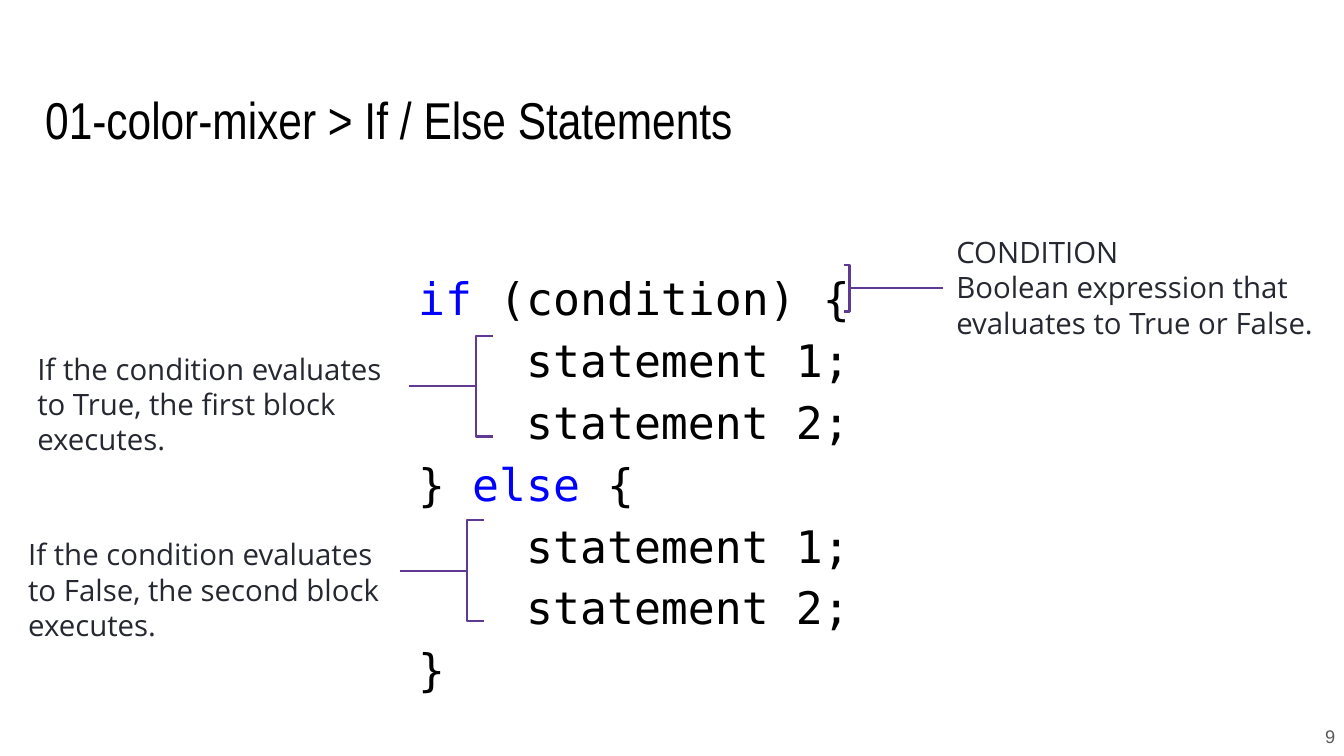
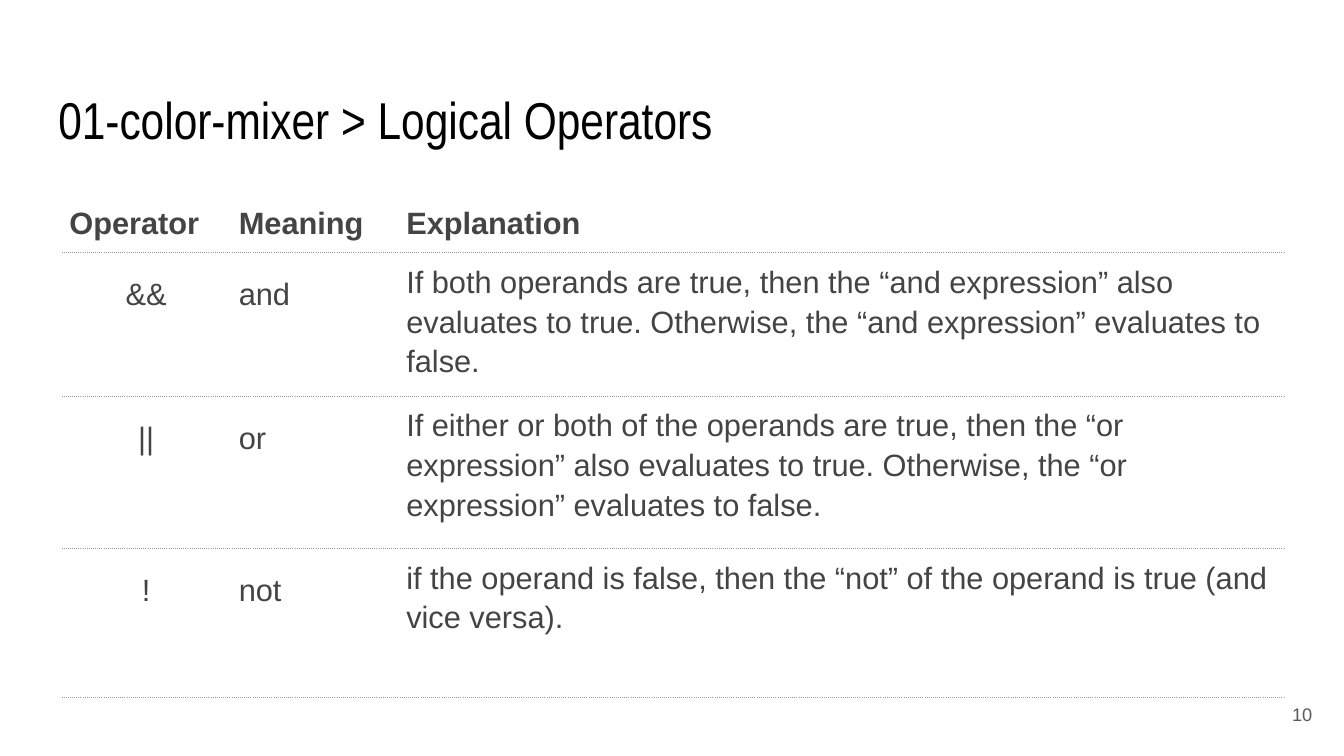
"""Build two lesson slides on if / else statements and logical operators."""
from lxml.etree import SubElement
from pptx import Presentation
from pptx.dml.color import RGBColor
from pptx.enum.shapes import MSO_CONNECTOR, MSO_SHAPE
from pptx.enum.text import MSO_ANCHOR, PP_ALIGN
from pptx.oxml.ns import qn
from pptx.util import Cm, Pt

BLACK = "000000"
KEYWORD_BLUE = "0000FF"
NOTE_GREY = "252830"
BRACKET_PURPLE = "5F3992"
TABLE_GREY = "444444"
RULE_GREY = "999999"
NUMBER_GREY = "595959"


def style(para, size, name, colour, spacing=1.0, align=PP_ALIGN.LEFT, bold=False):
    """Set the font and the layout of one paragraph."""
    para.alignment = align
    para.line_spacing = spacing
    para.font.size = Pt(size)
    para.font.name = name
    para.font.bold = bold
    para.font.color.rgb = RGBColor.from_string(colour)


def add_text(page, place, lines, anchor, inset, *look):
    """Add a text box with one paragraph per line and return its frame."""
    frame = page.shapes.add_textbox(*map(Cm, place)).text_frame
    frame.word_wrap = True
    frame.vertical_anchor = anchor
    frame.margin_left = frame.margin_right = Cm(inset)
    frame.margin_top = frame.margin_bottom = Cm(inset)
    frame.text = "\n".join(lines)
    for para in frame.paragraphs:
        style(para, *look)
    return frame


deck = Presentation()
deck.slide_width = Cm(33.87)
deck.slide_height = Cm(19.05)

pages = []
for title, title_left, number, number_left, number_top in [
    ("01-color-mixer > If / Else Statements", 0.81, "9", 31.85, 18.05),
    ("01-color-mixer > Logical Operators", 1.14, "10", 31.27, 17.5),
]:
    page = deck.slides.add_slide(deck.slide_layouts[6])
    add_text(page, (title_left, 1.65, 31.5, 2.1), [title], MSO_ANCHOR.TOP, 0.33,
             37, "Arial Narrow", BLACK, 1.15)
    add_text(page, (number_left, number_top, 2, 1), [number], MSO_ANCHOR.MIDDLE, 0.2,
             13, "Arial", NUMBER_GREY, 1.0, PP_ALIGN.RIGHT)
    pages.append(page)
statement_page, operator_page = pages

block = ["statement 1;", "statement 2;"]
code_lines = ["if (condition) {", *block, "} else {", *block, "}"]
code = add_text(statement_page, (10.21, 6.35, 12.01, 11.46), code_lines, MSO_ANCHOR.MIDDLE,
                0.33, 32, "DejaVu Sans Mono", BLACK, 1.15)
for para in code.paragraphs:
    if para.text in block:
        para._p.get_or_add_pPr().set("marL", str(Cm(2.72)))
    for keyword in ("if", "else"):
        if keyword in para.text:
            parts = para.text.partition(keyword)
            para.clear()
            for part in filter(None, parts):
                span = para.add_run()
                span.text = part
                colour = KEYWORD_BLUE if part == keyword else BLACK
                span.font.color.rgb = RGBColor.from_string(colour)

notes = [
    (["CONDITION", "Boolean expression that evaluates to True or False."],
     (23.77, 5.56, 9.96, 3.35), MSO_SHAPE.RIGHT_BRACKET, (21.26, 6.68, 0.15, 1.17),
     (21.41, 23.77, 7.25)),
    (["If the condition evaluates to True, the first block executes."],
     (0.61, 8.5, 9.7, 3.35), MSO_SHAPE.LEFT_BRACKET, (11.99, 8.46, 0.43, 2.54),
     (11.99, 10.31, 9.72)),
    (["If the condition evaluates to False, the second block executes."],
     (0.38, 13.18, 9.7, 3.35), MSO_SHAPE.LEFT_BRACKET, (11.76, 13.11, 0.43, 2.54),
     (11.76, 10.08, 14.38)),
]
for lines, place, bracket_kind, bracket_place, (start, end, height) in notes:
    add_text(statement_page, place, lines, MSO_ANCHOR.MIDDLE, 0.33, 21, "Open Sans", NOTE_GREY)
    bracket = statement_page.shapes.add_shape(bracket_kind, *map(Cm, bracket_place))
    bracket.adjustments[0] = 0
    bracket.shadow.inherit = False
    bracket.fill.background()
    pointer = statement_page.shapes.add_connector(
        MSO_CONNECTOR.STRAIGHT, Cm(start), Cm(height), Cm(end), Cm(height))
    SubElement(pointer._element.spPr, qn("a:effectLst"))
    for stroke in (bracket.line, pointer.line):
        stroke.color.rgb = RGBColor.from_string(BRACKET_PURPLE)
        stroke.width = Pt(1.5)

operator_rows = [
    ("Operator", "Meaning", "Explanation"),
    ("&&", "and", "If both operands are true, then the “and expression” also evaluates to true. "
                  "Otherwise, the “and expression” evaluates to false."),
    ("||", "or", "If either or both of the operands are true, then the “or expression” also "
                 "evaluates to true. Otherwise, the “or expression” evaluates to false."),
    ("!", "not", "if the operand is false, then the “not” of the operand is true "
                 "(and vice versa)."),
]
column_widths = [4.27, 4.22, 22.33]
row_heights = [1.68, 3.45, 3.84, 3.76]
table = operator_page.shapes.add_table(
    len(operator_rows), len(column_widths), Cm(1.55), Cm(4.57),
    Cm(sum(column_widths)), Cm(sum(row_heights))).table
table.first_row = False
table.horz_banding = False
for column, width in zip(table.columns, column_widths):
    column.width = Cm(width)
for row, height in zip(table.rows, row_heights):
    row.height = Cm(height)

for row_index, texts in enumerate(operator_rows):
    is_header = row_index == 0
    for column_index, text in enumerate(texts):
        cell = table.cell(row_index, column_index)
        cell.text = text
        cell.margin_left = cell.margin_right = Cm(0.2)
        cell.margin_top = cell.margin_bottom = Cm(0.2)
        spacing = 1.15 if column_index == 2 and not is_header else 1.5
        align = PP_ALIGN.CENTER if column_index == 0 and not is_header else PP_ALIGN.LEFT
        style(cell.text_frame.paragraphs[0], 22, "Arial", TABLE_GREY, spacing, align, is_header)
        properties = cell._tc.get_or_add_tcPr()
        for side in ("lnL", "lnR", "lnT", "lnB"):
            border = SubElement(properties, qn(f"a:{side}"), w=str(Pt(0.75)))
            if side == "lnB" or (side == "lnT" and not is_header):
                fill = SubElement(border, qn("a:solidFill"))
                SubElement(fill, qn("a:srgbClr"), val=RULE_GREY)
                SubElement(border, qn("a:prstDash"), val="dot")
            else:
                SubElement(border, qn("a:noFill"))
        cell.fill.background()

deck.save("out.pptx")
